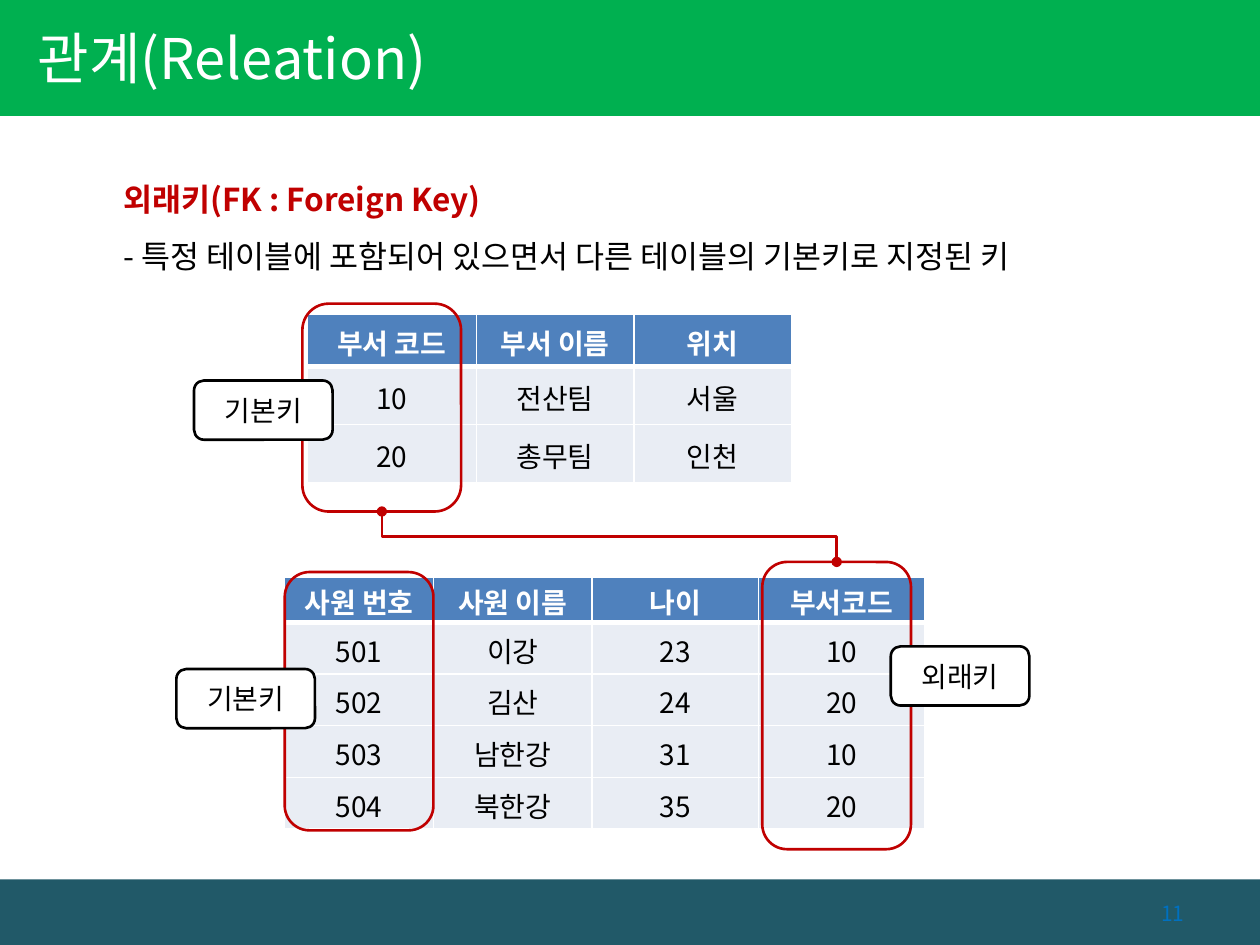
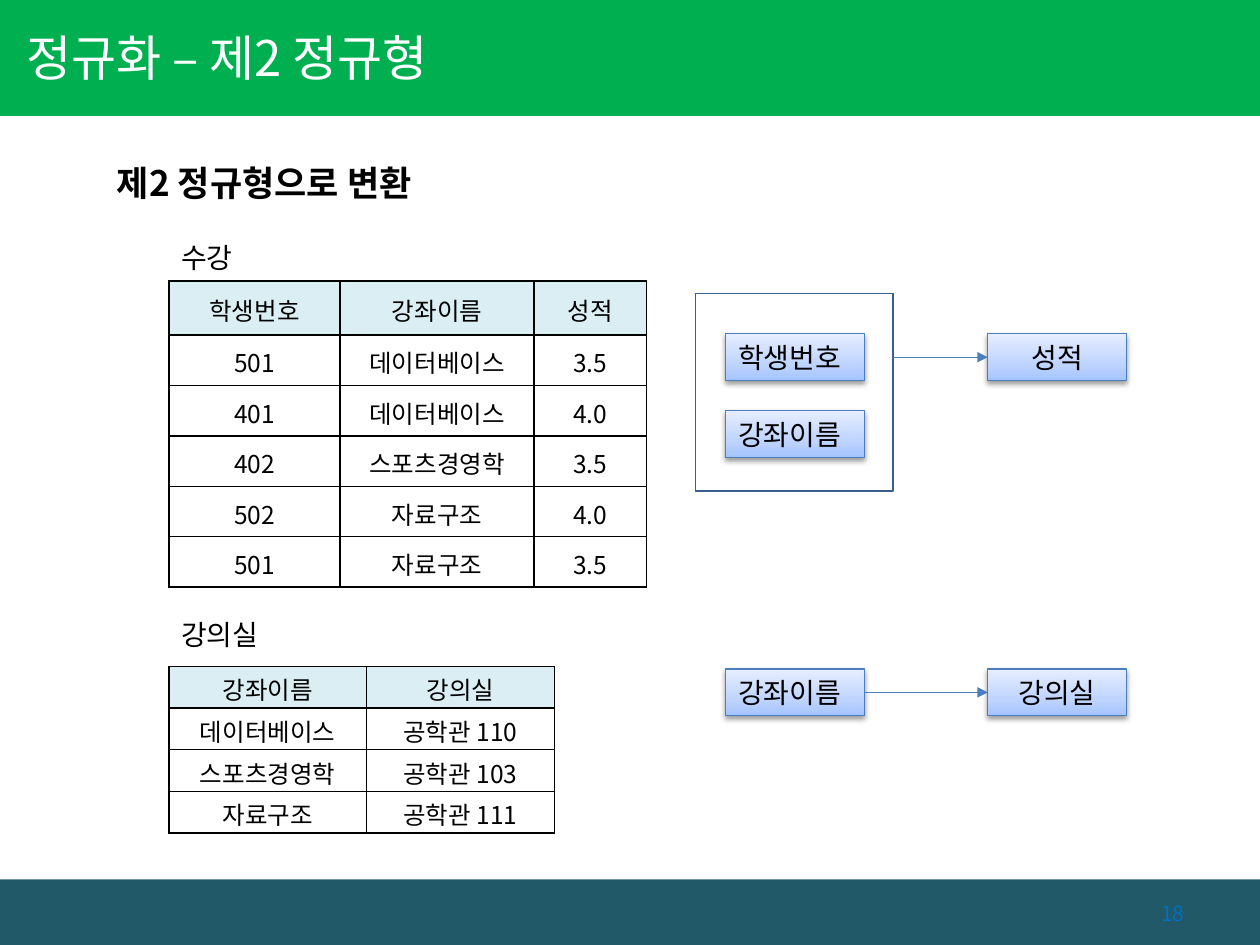
from lxml import etree
from pptx import Presentation
from pptx import util as u
from pptx.dml.color import RGBColor
from pptx.enum import shapes, text
from pptx.oxml.ns import qn

FONT = "Noto Sans CJK KR"
WHITE, BLACK, RED = "FFFFFF", "000000", "C00000"
GREEN, TEAL, BLUE = "00B050", "215968", "0070C0"
ARROW_BLUE = "4B7EBC"
LEFT, CENTER, RIGHT = text.PP_ALIGN.LEFT, text.PP_ALIGN.CENTER, text.PP_ALIGN.RIGHT
TOP, MIDDLE = text.MSO_ANCHOR.TOP, text.MSO_ANCHOR.MIDDLE
SHAPE = shapes.MSO_SHAPE
rgb = RGBColor.from_string


def write(frame, words, size, color=BLACK, bold=False, align=LEFT, anchor=MIDDLE):
    """Fill a text frame with words, one paragraph a line, in the deck's font."""
    frame.text = words
    frame.word_wrap = True
    frame.vertical_anchor = anchor
    for paragraph in frame.paragraphs:
        paragraph.alignment = align
        for run in paragraph.runs:
            run.font.size, run.font.bold = u.Pt(size), bold
            run.font.color.rgb = rgb(color)
            run.font.name = FONT
            etree.SubElement(run.font._element, qn("a:ea"), typeface=FONT)


def place(slide, kind, box, fill=None, line=None, width=1.0):
    """Add a preset shape at box (left, top, width, height in inches)."""
    shape = slide.shapes.add_shape(kind, *map(u.Inches, box))
    shape.shadow.inherit = False
    if fill:
        shape.fill.solid()
        shape.fill.fore_color.rgb = rgb(fill)
    else:
        shape.fill.background()
    if line:
        shape.line.color.rgb = rgb(line)
        shape.line.width = u.Pt(width)
    else:
        shape.line.fill.background()
    return shape


deck = Presentation()
deck.slide_width, deck.slide_height = u.Inches(10), u.Inches(7.5)
title_only = deck.slide_layouts[5]
relation = deck.slides.add_slide(title_only)
normal_form = deck.slides.add_slide(title_only)

# Title and footer bands belong to the layout
bands = [
    place(relation, SHAPE.RECTANGLE, (0, 6.98, 10, 0.52), TEAL),
    place(relation, SHAPE.RECTANGLE, (0, 0, 10, 0.92), GREEN),
]
for index, band in enumerate(bands):
    band.element.nvSpPr.cNvPr.set("id", str(100 + index))
    title_only.element.cSld.spTree.insert(2 + index, band.element)

# Titles and page numbers
for slide, title, left, size, number in [
    (relation, "관계(Releation)", 0.2, 32, "11"),
    (normal_form, "정규화 – 제2 정규형", 0.11, 28, "18"),
]:
    heading = slide.shapes.title
    heading.left, heading.top = u.Inches(left), u.Inches(-0.02)
    heading.width, heading.height = u.Inches(6.2), u.Inches(0.94)
    write(heading.text_frame, title, size, WHITE)
    page = slide.shapes.add_textbox(*map(u.Inches, (8.5, 7.05, 1, 0.4)))
    write(page.text_frame, number, 12, BLUE, align=RIGHT)

# Headings and captions
for slide, box, words, size, bold in [
    (relation, (0.88, 1.23, 8.6, 1.01),
     "외래키(FK : Foreign Key)\n- 특정 테이블에 포함되어 있으면서 다른 테이블의 기본키로 지정된 키", 18, False),
    (normal_form, (0.83, 1.23, 2.91, 0.44), "제2 정규형으로 변환", 20, True),
    (normal_form, (1.34, 1.86, 0.74, 0.37), "수강", 16, False),
    (normal_form, (1.34, 4.85, 1.06, 0.37), "강의실", 16, False),
]:
    caption = slide.shapes.add_textbox(*map(u.Inches, box)).text_frame
    write(caption, words, size, bold=bold, anchor=TOP)
    if slide is relation:
        for paragraph in caption.paragraphs:
            paragraph.line_spacing = 1.5
        foreign_key_term = caption.paragraphs[0].runs[0].font
        foreign_key_term.bold = True
        foreign_key_term.color.rgb = rgb(RED)

# Tables: style is size, header fill, header text, body fill, border, header rule width
SOLID = (16, "4F81BD", WHITE, "E9EDF4", WHITE, 3)
RULED = (14, "DBEEF4", BLACK, None, BLACK, 1)
for slide, left, top, widths, header_height, row_height, style, records in [
    (relation, 2.26, 4.58, (1.18, 1.26, 1.32, 1.32), 0.36, 0.41, SOLID, [
        ("사원 번호", "사원 이름", "나이", "부서코드"),
        ("501", "이강", "23", "10"),
        ("502", "김산", "24", "20"),
        ("503", "남한강", "31", "10"),
        ("504", "북한강", "35", "20")]),
    (relation, 2.44, 2.49, (1.34, 1.25, 1.25), 0.42, 0.46, SOLID, [
        ("부서 코드", "부서 이름", "위치"),
        ("10", "전산팀", "서울"),
        ("20", "총무팀", "인천")]),
    (normal_form, 1.34, 2.23, (1.36, 1.54, 0.89), 0.43, 0.4, RULED, [
        ("학생번호", "강좌이름", "성적"),
        ("501", "데이터베이스", "3.5"),
        ("401", "데이터베이스", "4.0"),
        ("402", "스포츠경영학", "3.5"),
        ("502", "자료구조", "4.0"),
        ("501", "자료구조", "3.5")]),
    (normal_form, 1.34, 5.29, (1.57, 1.49), 0.33, 0.33, RULED, [
        ("강좌이름", "강의실"),
        ("데이터베이스", "공학관 110"),
        ("스포츠경영학", "공학관 103"),
        ("자료구조", "공학관 111")]),
]:
    size, header_fill, header_text, body_fill, border, header_rule = style
    height = header_height + row_height * (len(records) - 1)
    table = slide.shapes.add_table(
        len(records), len(widths), *map(u.Inches, (left, top, sum(widths), height))).table
    table.horz_banding = False
    for column, width in zip(table.columns, widths):
        column.width = u.Inches(width)
    for r, record in enumerate(records):
        table.rows[r].height = u.Inches(row_height if r else header_height)
        for c, value in enumerate(record):
            cell = table.cell(r, c)
            cell.margin_top, cell.margin_bottom = u.Inches(0.03), 0
            write(cell.text_frame, value, size, BLACK if r else header_text,
                  bold=style is SOLID and r == 0, align=CENTER)
            cell.vertical_anchor = MIDDLE
            for side in "LRTB":
                under_header = (r, side) in ((0, "B"), (1, "T"))
                edge = etree.SubElement(
                    cell._tc.get_or_add_tcPr(), qn("a:ln" + side),
                    w=str(u.Pt(header_rule if under_header else 1)))
                paint = etree.SubElement(edge, qn("a:solidFill"))
                etree.SubElement(paint, qn("a:srgbClr"), val=border)
            fill = body_fill if r else header_fill
            if fill:
                cell.fill.solid()
                cell.fill.fore_color.rgb = rgb(fill)
            else:
                cell.fill.background()

# Key columns and their labels
foreign_key, employee_key, department_key = [
    place(relation, SHAPE.ROUNDED_RECTANGLE, box, None, RED, 1.5)
    for box in ((6.05, 4.46, 1.18, 2.28), (2.26, 4.54, 1.18, 2.05), (2.4, 2.41, 1.26, 1.65))]
for left, top, words in [(7.07, 5.13, "외래키"), (1.54, 3.02, "기본키"), (1.4, 5.31, "기본키")]:
    label = place(relation, SHAPE.ROUNDED_RECTANGLE, (left, top, 1.1, 0.47), WHITE, BLACK, 1.5)
    write(label.text_frame, words, 16, align=CENTER)

# Department key to foreign key: a quarter turn makes the elbow leave downwards
reference = relation.shapes.add_connector(shapes.MSO_CONNECTOR.ELBOW, 0, 0, 0, 0)
reference.begin_connect(department_key, 2)
reference.end_connect(foreign_key, 0)
across, down = reference.width, reference.height
middle_x, middle_y = reference.left + across // 2, reference.top + down // 2
reference.left, reference.top = middle_x - down // 2, middle_y - across // 2
reference.width, reference.height = down, across
turn = reference.element.spPr.find(qn("a:xfrm"))
turn.set("rot", "16200000")
turn.set("flipH", "1")

# Attributes and what they determine
place(normal_form, SHAPE.RECTANGLE, (5.52, 2.33, 1.57, 1.57), None, "3A5F8C", 1)
attributes = []
for left, top, words, align in [
    (5.76, 2.65, "학생번호", LEFT),
    (5.76, 3.26, "강좌이름", LEFT),
    (7.84, 2.65, "성적", CENTER),
    (5.76, 5.31, "강좌이름", LEFT),
    (7.84, 5.31, "강의실", CENTER),
]:
    attribute = place(normal_form, SHAPE.RECTANGLE, (left, top, 1.1, 0.37), WHITE, ARROW_BLUE, 0.75)
    frame = attribute.text_frame
    frame.margin_top = frame.margin_bottom = 0
    write(frame, words, 16, align=align)
    attribute.fill.gradient()
    attribute.fill.gradient_angle = 90
    properties = attribute.element.spPr
    stops = properties.find(".//" + qn("a:gsLst"))
    for stop in list(stops):
        stops.remove(stop)
    for share, color in ((0, "A4C4FF"), (35, "BFD4FF"), (100, "E6EEFF")):
        stop = etree.SubElement(stops, qn("a:gs"), pos=str(share * 1000))
        etree.SubElement(stop, qn("a:srgbClr"), val=color)
    shadow = etree.SubElement(
        properties.find(qn("a:effectLst")), qn("a:outerShdw"),
        blurRad="40000", dist="20000", dir="5400000", rotWithShape="0")
    shade = etree.SubElement(shadow, qn("a:srgbClr"), val=BLACK)
    etree.SubElement(shade, qn("a:alpha"), val="38000")
    attributes.append(attribute)
student, course, grade, lecture, room = attributes

grade_y = grade.top + grade.height // 2
grade_arrow, room_arrow = [
    normal_form.shapes.add_connector(
        shapes.MSO_CONNECTOR.STRAIGHT, u.Inches(7.09), grade_y, u.Inches(7.84), grade_y)
    for _ in range(2)]
grade_arrow.end_connect(grade, 1)
room_arrow.begin_connect(lecture, 3)
room_arrow.end_connect(room, 1)

for connector, color, width, ends in [
    (reference, RED, 1.5, {"headEnd": "oval", "tailEnd": "oval"}),
    (grade_arrow, ARROW_BLUE, 0.75, {"tailEnd": "triangle"}),
    (room_arrow, ARROW_BLUE, 0.75, {"tailEnd": "triangle"}),
]:
    connector.line.color.rgb = rgb(color)
    connector.line.width = u.Pt(width)
    for end, tip in ends.items():
        etree.SubElement(connector.element.spPr.find(qn("a:ln")), qn("a:" + end), type=tip)
    etree.SubElement(connector.element.spPr, qn("a:effectLst"))

deck.save("out.pptx")
